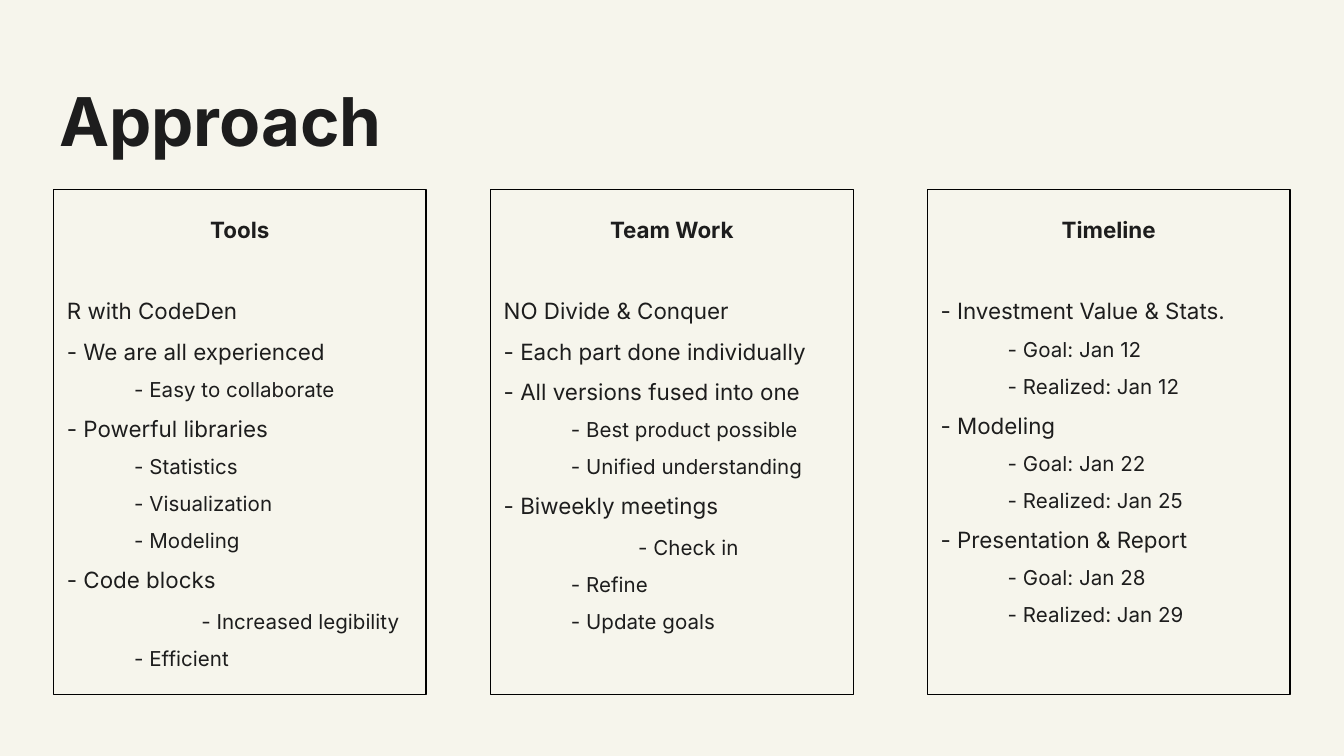
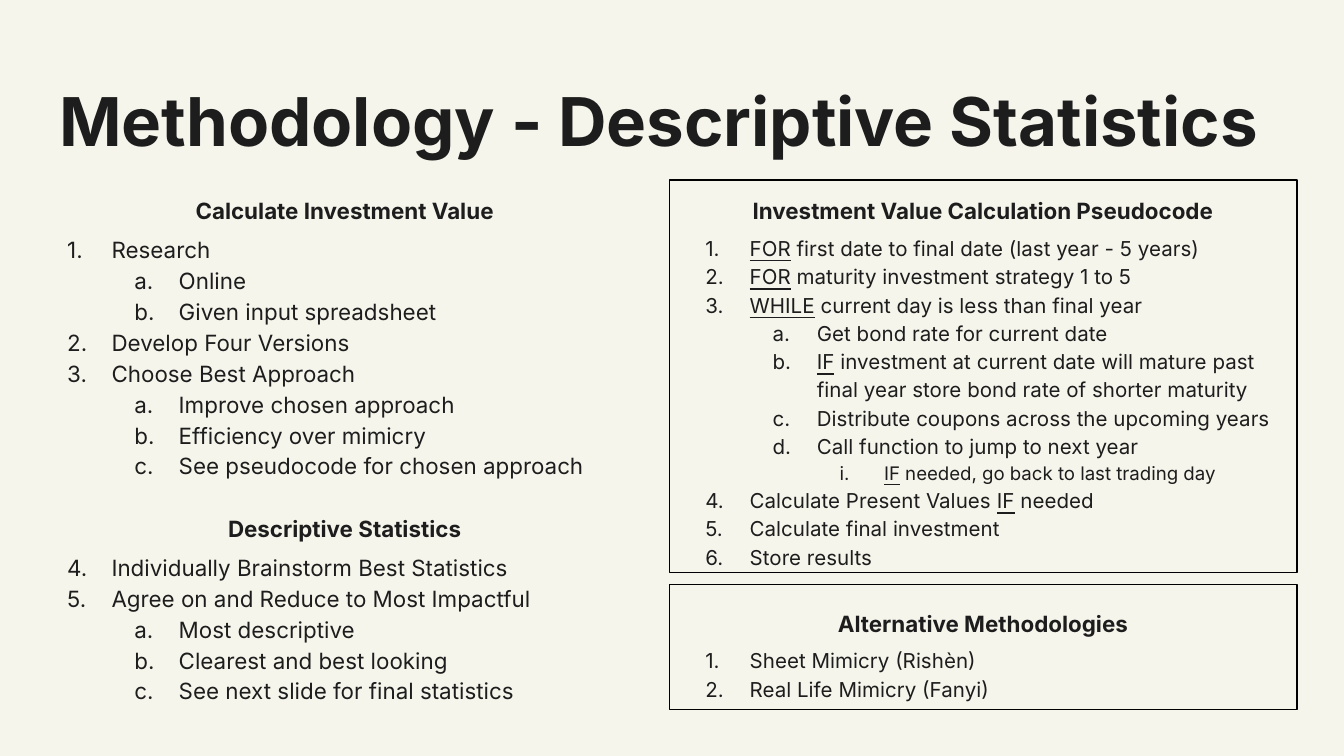
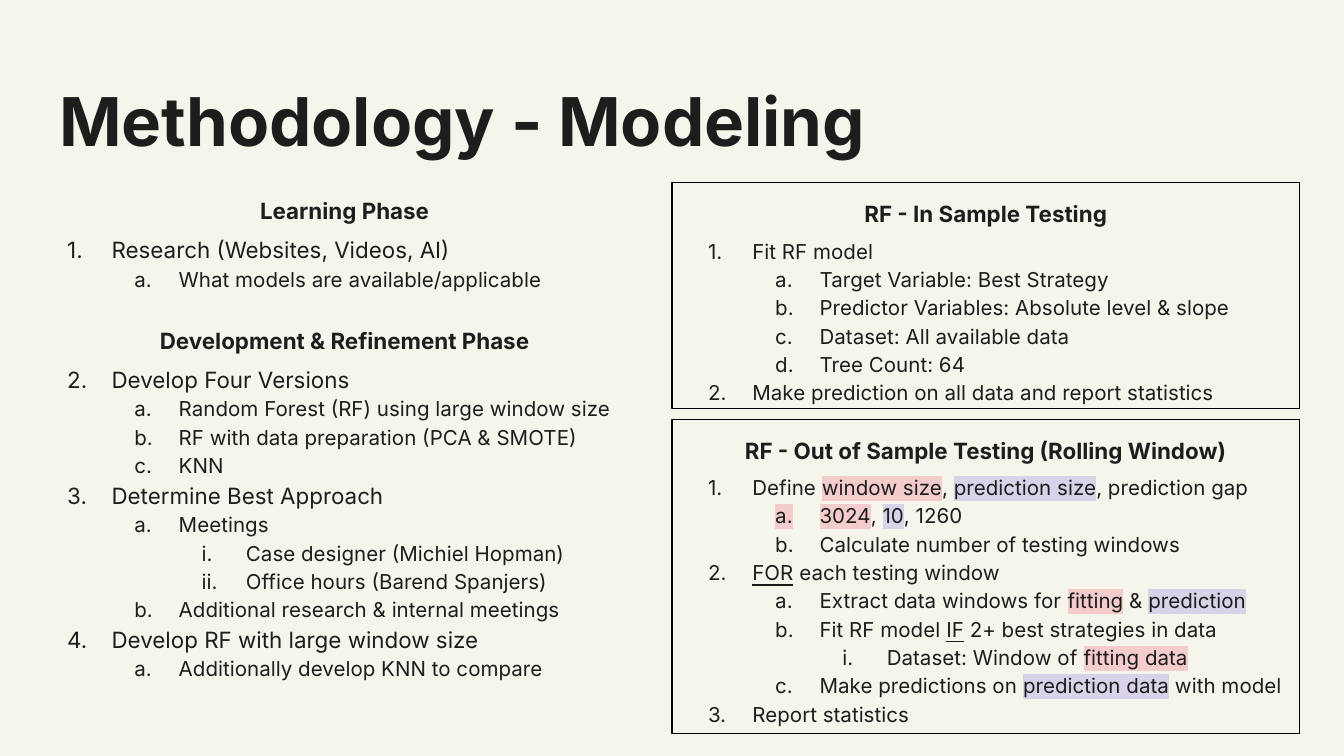
from lxml.etree import SubElement
from pptx import Presentation
from pptx.dml.color import RGBColor
from pptx.enum.shapes import MSO_SHAPE
from pptx.enum.text import MSO_ANCHOR, MSO_AUTO_SIZE, PP_ALIGN
from pptx.oxml.ns import qn
from pptx.util import Inches, Pt

rgb = RGBColor.from_string
PAPER, INK, BORDER = "F6F5EC", "1D1D1D", "000000"
PINK, LILAC = "F4CCCC", "D9D2E9"
FONT = "Inter"
NUMBERING = ["arabicPeriod", "alphaLcPeriod", "romanLcPeriod"]
HEAD = None  # level of a heading

prs = Presentation()
prs.slide_width, prs.slide_height = Inches(10), Inches(5.625)
COL, ROW = prs.slide_width / 100, prs.slide_height / 100
prs.slide_master.background.fill.solid()
prs.slide_master.background.fill.fore_color.rgb = rgb(PAPER)
CONTENT, TITLE_ONLY = prs.slide_layouts[1], prs.slide_layouts[5]


def place(sp, x, y, w, h):
    """Set position and size in percent of the slide, and a plain text frame."""
    sp.left, sp.width = int(x * COL), int(w * COL)
    sp.top, sp.height = int(y * ROW), int(h * ROW)
    tf = sp.text_frame
    tf.word_wrap, tf.auto_size = True, MSO_AUTO_SIZE.NONE
    tf.vertical_anchor = MSO_ANCHOR.TOP
    tf.margin_left = tf.margin_right = tf.margin_top = tf.margin_bottom = Inches(0.1)
    return tf


def write(tf, items, sizes, spacing=1.15, head_gap=4.2, numbered=True):
    """Write (level, run, ...) items; a run is text or (text, "u" or highlight)."""
    for i, (level, *runs) in enumerate(items):
        p = tf.paragraphs[0] if i == 0 else tf.add_paragraph()
        p.line_spacing, p.space_before, p.space_after = spacing, Pt(0), Pt(0)
        pPr = p._p.get_or_add_pPr()
        pPr.set("marL", "0")
        pPr.set("indent", "0")
        if level is HEAD:
            p.alignment = PP_ALIGN.CENTER
            p.space_before, p.space_after = Pt(17 if i else 0), Pt(head_gap)
            SubElement(pPr, qn("a:buNone"))
        elif numbered:
            p.alignment, p.level = PP_ALIGN.LEFT, level
            pPr.set("marL", str(Inches(0.5 * (level + 1))))
            pPr.set("indent", str(Inches(-0.33)))
            SubElement(SubElement(pPr, qn("a:buClr")), qn("a:srgbClr"), val=INK)
            SubElement(pPr, qn("a:buAutoNum"), type=NUMBERING[level])
        else:
            p.alignment = PP_ALIGN.JUSTIFY
            p.space_before = Pt(2 if level == 2 else 0)
            pPr.set("indent", str(Inches(0.5 * level)))
        for run in runs:
            text, mark = (run, None) if isinstance(run, str) else run
            r = p.add_run()
            r.text = text
            r.font.name, r.font.bold = FONT, level is HEAD
            r.font.size = Pt(12 if level is HEAD else sizes[level])
            r.font.color.rgb = rgb(INK)
            if mark == "u":
                r.font.underline = True
            elif mark:
                rPr = r._r.get_or_add_rPr()
                hl = SubElement(rPr, qn("a:highlight"))
                SubElement(hl, qn("a:srgbClr"), val=mark)
                rPr.find(qn("a:solidFill")).addnext(hl)


approach_cards = [
    ((4, 25.07, 27.7, 66.84), [
        (HEAD, "Tools"),
        (0, "R with CodeDen"),
        (0, "- We are all experienced"),
        (1, "- Easy to collaborate"),
        (0, "- Powerful libraries"),
        (1, "- Statistics"),
        (1, "- Visualization"),
        (1, "- Modeling"),
        (0, "- Code blocks"),
        (2, "- Increased legibility"),
        (1, "- Efficient"),
    ]),
    ((36.5, 25.07, 27, 66.84), [
        (HEAD, "Team Work"),
        (0, "NO Divide & Conquer"),
        (0, "- Each part done individually"),
        (0, "- All versions fused into one"),
        (1, "- Best product possible"),
        (1, "- Unified understanding"),
        (0, "- Biweekly meetings"),
        (2, "- Check in"),
        (1, "- Refine"),
        (1, "- Update goals"),
    ]),
    ((69, 25.07, 27, 66.84), [
        (HEAD, "Timeline"),
        (0, "- Investment Value & Stats."),
        (1, "- Goal: Jan 12"),
        (1, "- Realized: Jan 12"),
        (0, "- Modeling"),
        (1, "- Goal: Jan 22"),
        (1, "- Realized: Jan 25"),
        (0, "- Presentation & Report"),
        (1, "- Goal: Jan 28"),
        (1, "- Realized: Jan 29"),
    ]),
]

statistics_steps = [
    (HEAD, "Calculate Investment Value"),
    (0, "Research"),
    (1, "Online"),
    (1, "Given input spreadsheet"),
    (0, "Develop Four Versions"),
    (0, "Choose Best Approach"),
    (1, "Improve chosen approach"),
    (1, "Efficiency over mimicry"),
    (1, "See pseudocode for chosen approach"),
    (HEAD, "Descriptive Statistics"),
    (0, "Individually Brainstorm Best Statistics"),
    (0, "Agree on and Reduce to Most Impactful"),
    (1, "Most descriptive"),
    (1, "Clearest and best looking"),
    (1, "See next slide for final statistics"),
]
statistics_cards = [
    ((49.8, 23.82, 46.7, 51.91), [
        (HEAD, "Investment Value Calculation Pseudocode"),
        (0, ("FOR", "u"), " first date to final date (last year - 5 years)"),
        (0, ("FOR", "u"), " maturity investment strategy 1 to 5"),
        (0, ("WHILE", "u"), " current day is less than final year"),
        (1, "Get bond rate for current date"),
        (1, ("IF", "u"), " investment at current date will mature past "
            "final year store bond rate of shorter maturity"),
        (1, "Distribute coupons across the upcoming years"),
        (1, "Call function to jump to next year"),
        (2, ("IF", "u"), " needed, go back to last trading day"),
        (0, "Calculate Present Values ", ("IF", "u"), " needed"),
        (0, "Calculate final investment"),
        (0, "Store results"),
    ]),
    ((49.8, 77.33, 46.7, 16.53), [
        (HEAD, "Alternative Methodologies"),
        (0, "Sheet Mimicry (Rishèn)"),
        (0, "Real Life Mimicry (Fanyi)"),
    ]),
]

modeling_steps = [
    (HEAD, "Learning Phase"),
    (0, "Research (Websites, Videos, AI)"),
    (1, "What models are available/applicable"),
    (HEAD, "Development & Refinement Phase"),
    (0, "Develop Four Versions"),
    (1, "Random Forest (RF) using large window size"),
    (1, "RF with data preparation (PCA & SMOTE)"),
    (1, "KNN"),
    (0, "Determine Best Approach"),
    (1, "Meetings"),
    (2, "Case designer (Michiel Hopman)"),
    (2, "Office hours (Barend Spanjers)"),
    (1, "Additional research & internal meetings"),
    (0, "Develop RF with large window size"),
    (1, "Additionally develop KNN to compare"),
]
modeling_cards = [
    ((50, 55.47, 46.7, 41.6), [
        (HEAD, "RF - Out of Sample Testing (Rolling Window)"),
        (0, "Define ", ("window size", PINK), ", ",
            ("prediction size", LILAC), ", prediction gap"),
        (1, ("3024", PINK), ", ", ("10", LILAC), ", 1260"),
        (1, "Calculate number of testing windows"),
        (0, ("FOR", "u"), " each testing window"),
        (1, "Extract data windows for ", ("fitting", PINK), " & ",
            ("prediction", LILAC)),
        (1, "Fit RF model ", ("IF", "u"), " 2+ best strategies in data"),
        (2, "Dataset: Window of ", ("fitting data", PINK)),
        (1, "Make predictions on ", ("prediction data", LILAC), " with model"),
        (0, "Report statistics"),
    ]),
    ((50, 24.18, 46.7, 29.87), [
        (HEAD, "RF - In Sample Testing"),
        (0, "Fit RF model"),
        (1, "Target Variable: Best Strategy"),
        (1, "Predictor Variables: Absolute level & slope"),
        (1, "Dataset: All available data"),
        (1, "Tree Count: 64"),
        (0, "Make prediction on all data and report statistics"),
    ]),
]

approach_style = dict(sizes=(12, 11, 11), spacing=1.5, head_gap=21.8, numbered=False)
# title, steps on the left, their sizes by level, cards, card text style
slides = [
    ("Approach", None, None, approach_cards, approach_style),
    ("Methodology - Descriptive Statistics", statistics_steps, (12, 12),
     statistics_cards, dict(sizes=(11, 11, 10))),
    ("Methodology - Modeling", modeling_steps, (12, 11, 11),
     modeling_cards, dict(sizes=(11, 11, 11))),
]

for title, steps, step_sizes, cards, card_style in slides:
    s = prs.slides.add_slide(CONTENT if steps else TITLE_ONLY)
    tf = place(s.shapes.title, 3.4, 8.71, 93.2, 11.2)
    p = tf.paragraphs[0]
    p.alignment = PP_ALIGN.LEFT
    r = p.add_run()
    r.text = title
    r.font.name, r.font.size, r.font.bold = FONT, Pt(36), True
    r.font.color.rgb = rgb(INK)

    if steps:
        write(place(s.placeholders[1], 2.3, 23.82, 46.7, 70.04), steps, step_sizes)

    for box, items in cards:
        sp = s.shapes.add_shape(MSO_SHAPE.RECTANGLE, 0, 0, 0, 0)
        sp.shadow.inherit = False
        sp.fill.background()
        sp.line.color.rgb, sp.line.width = rgb(BORDER), Pt(0.75)
        tf = place(sp, *box)
        if items[0][1] == "Alternative Methodologies":
            tf.margin_top = Inches(0.16)
        write(tf, items, **card_style)

prs.save("out.pptx")
